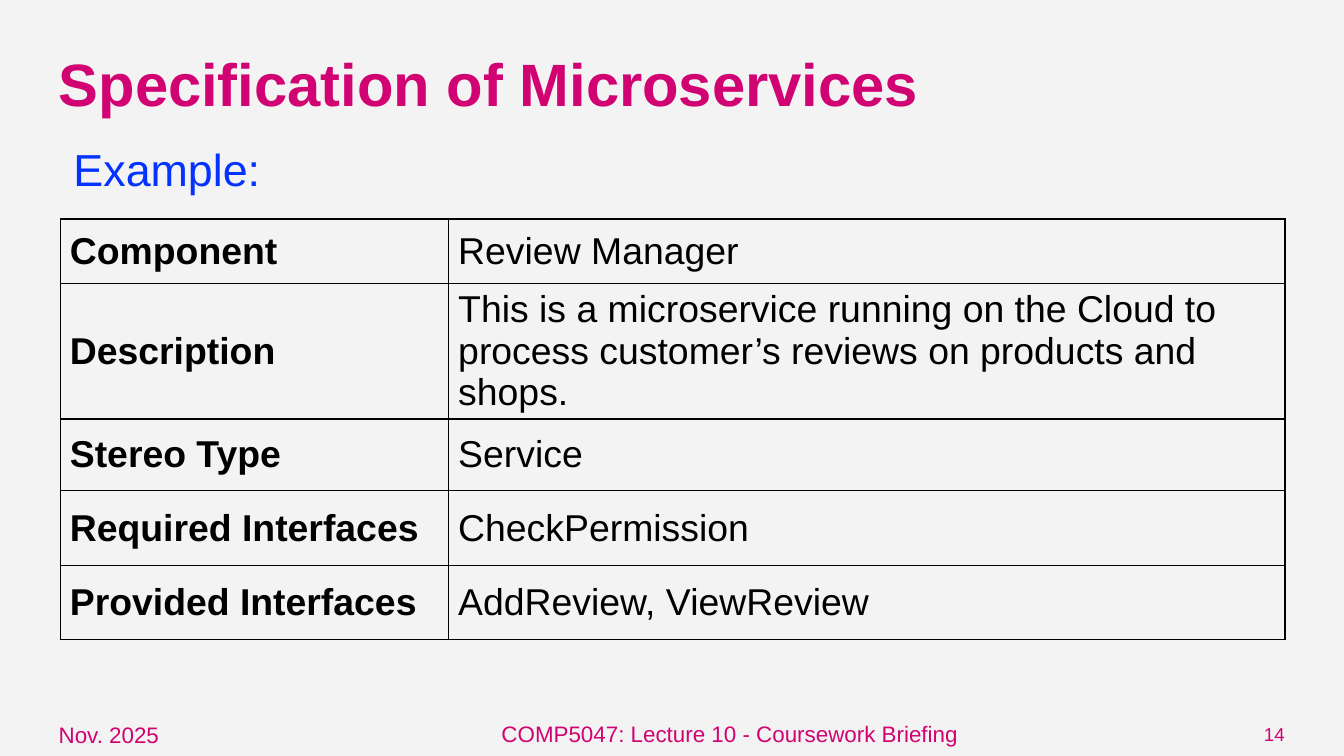
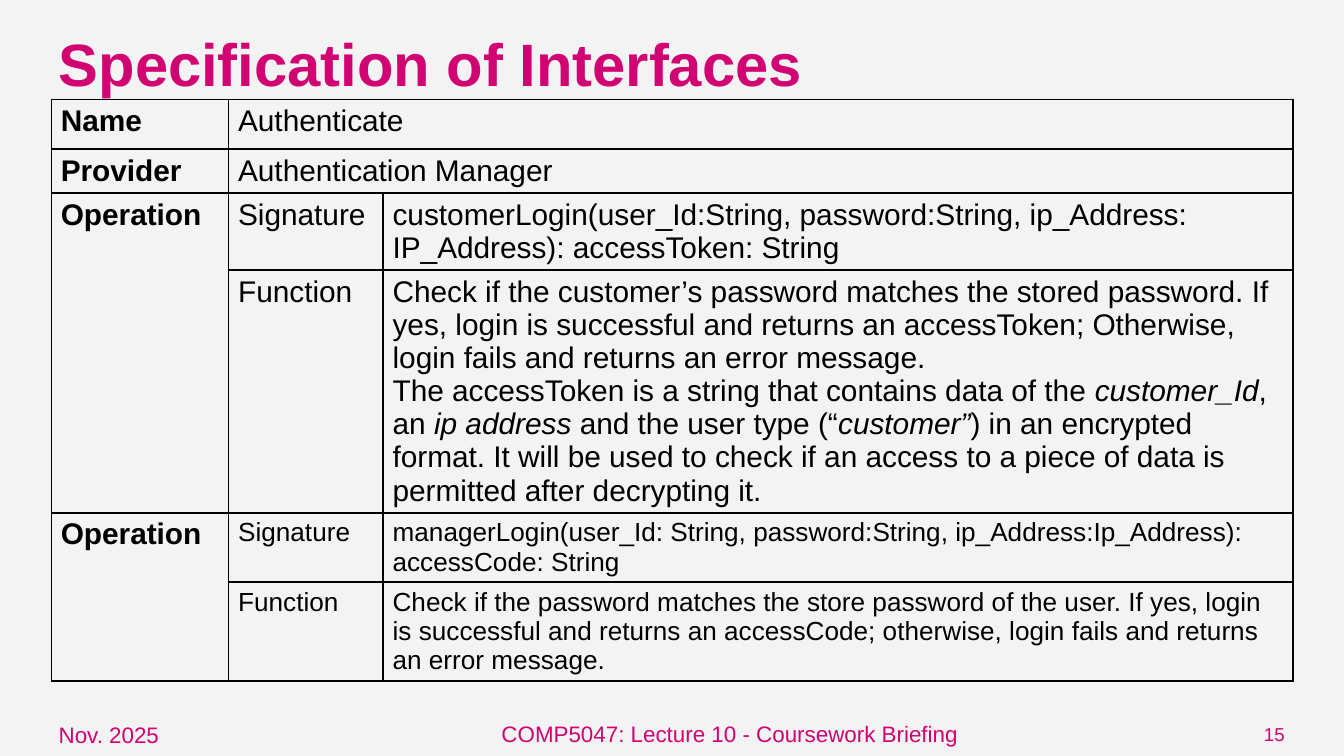
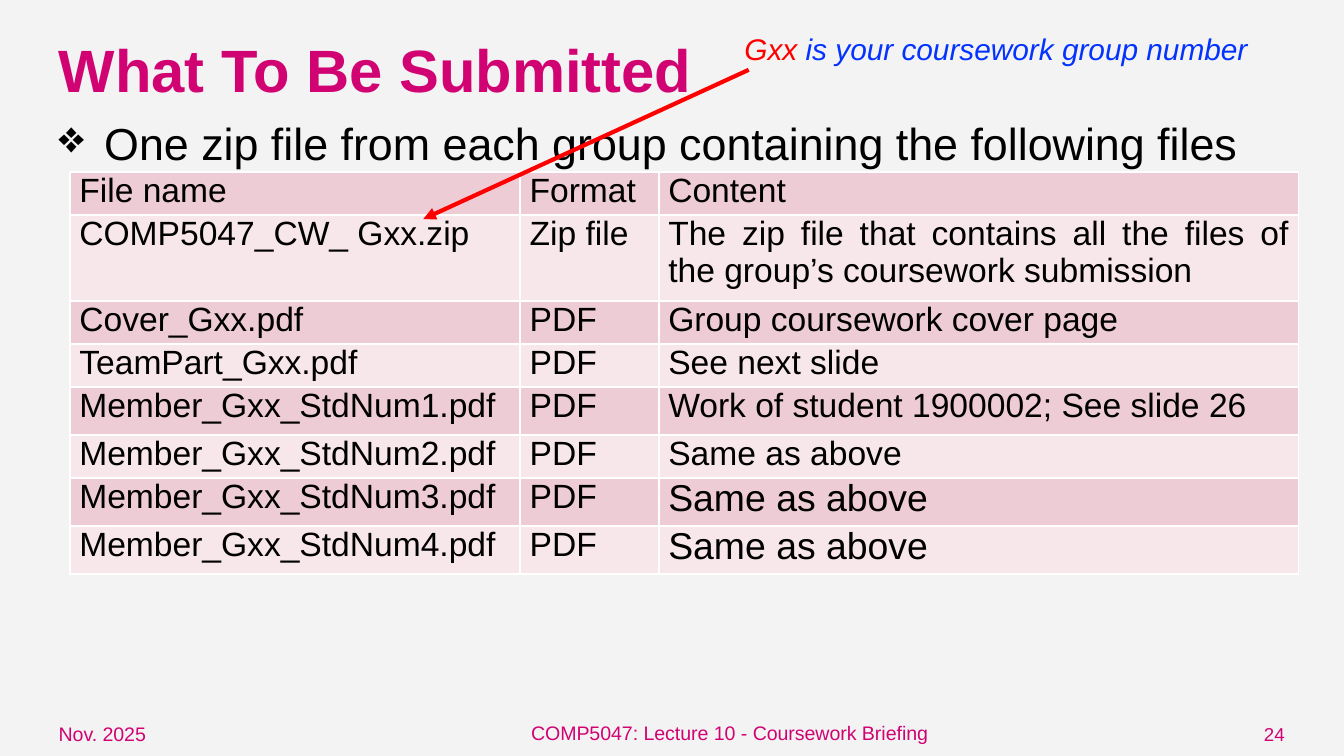
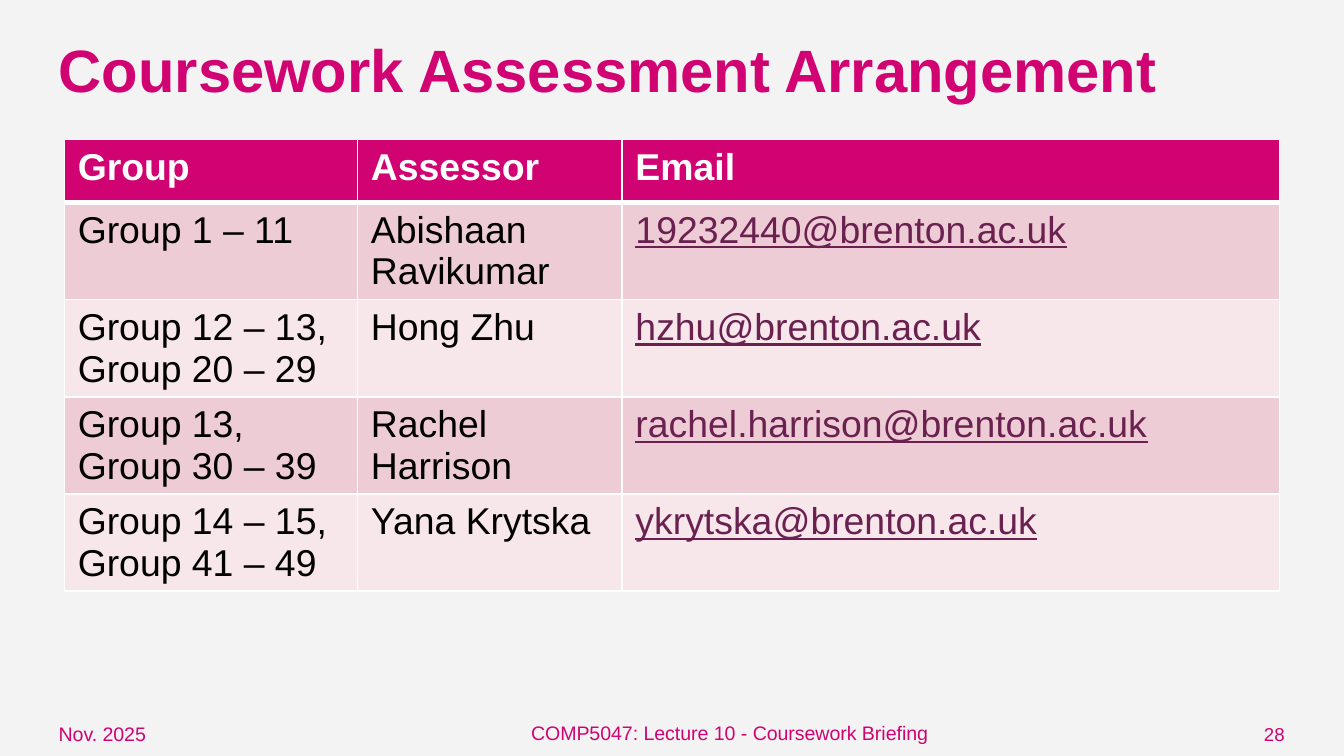
import lxml.etree
import pptx
import pptx.dml.color
import pptx.enum.shapes
import pptx.enum.text
import pptx.oxml.ns
import pptx.util

Cm = pptx.util.Cm
Pt = pptx.util.Pt
RGBColor = pptx.dml.color.RGBColor
Align = pptx.enum.text.PP_ALIGN
Anchor = pptx.enum.text.MSO_ANCHOR
Fit = pptx.enum.text.MSO_AUTO_SIZE
qn = pptx.oxml.ns.qn

PINK = RGBColor(0xD1, 0x03, 0x73)
ROSE = RGBColor(0xEE, 0xCC, 0xD5)
BLUSH = RGBColor(0xF7, 0xE7, 0xEB)
PLUM = RGBColor(0x6A, 0x21, 0x50)
BLUE = RGBColor(0x04, 0x32, 0xFF)
RED = RGBColor(0xFF, 0x00, 0x00)
GREY = RGBColor(0xF3, 0xF3, 0xF3)
BLACK = RGBColor(0, 0, 0)
WHITE = RGBColor(0xFF, 0xFF, 0xFF)

FACE = "Arial"
SIDES = ("lnL", "lnR", "lnT", "lnB")
WIDE = (0.25, 0.25, 0.25, 0.25)
PLAIN = (0.25, 0.13, 0.25, 0.13)
TIGHT = (0.18, 0.1, 0.18, 0.1)
FLAT = (0.18, 0, 0.18, 0)
LOW = (0.25, 0.38, 0.25, 0.25)


def apply(thing, values):
    for name, value in values.items():
        setattr(thing, name, value)


def add(parent, tag, **values):
    """Append a DrawingML child element."""
    return lxml.etree.SubElement(parent, qn("a:" + tag), values)


def inset(thing, sizes):
    names = ("margin_left", "margin_top", "margin_right", "margin_bottom")
    apply(thing, dict(zip(names, map(Cm, sizes))))


class Deck:
    """Holds the shared style and the slide being filled."""

    def __init__(self):
        self.file = pptx.Presentation()
        apply(self.file, {"slide_width": Cm(25.4), "slide_height": Cm(14.29)})
        fill = self.file.slide_master.background.fill
        fill.solid()
        fill.fore_color.rgb = GREY

    def page(self, title, number, top, width=23.67, small=False):
        """Start a slide with its title and footer."""
        self.slide = self.file.slides.add_slide(self.file.slide_layouts[5])
        head = self.slide.shapes.title
        apply(head, {"left": Cm(0.86), "top": Cm(top),
                     "width": Cm(width), "height": Cm(1.9)})
        self.frame(head.text_frame, LOW, Anchor.TOP)
        self.put(head.text_frame, title, {"size": 32, "color": PINK, "bold": True})
        size = 10.5 if small else 12
        anchor = Anchor.TOP if small else Anchor.MIDDLE
        font = {"size": size, "color": PINK}
        self.text(0.86, 13.51, 4.8, 0.76, "Nov. 2025", font, anchor=anchor)
        self.text(8.69, 13.49, 10.21, 0.76, "COMP5047: Lecture 10 - Coursework Briefing",
                  font, {"alignment": Align.CENTER}, anchor=anchor)
        self.text(23.01, 13.49, 1.52, 0.76, str(number), {"size": 10, "color": PINK},
                  {"alignment": Align.RIGHT}, WIDE, Anchor.MIDDLE)

    def frame(self, frame, sizes, anchor, fit=Fit.NONE):
        apply(frame, {"word_wrap": True, "auto_size": fit, "vertical_anchor": anchor})
        inset(frame, sizes)

    def put(self, frame, content, font, para=None):
        """Content is text, or a list of paragraphs made of (text, font) runs."""
        if isinstance(content, str):
            content = [[(line, {})] for line in content.split("\n")]
        for i, runs in enumerate(content):
            line = frame.add_paragraph() if i else frame.paragraphs[0]
            apply(line, {"alignment": Align.LEFT, **(para or {})})
            for words, change in runs:
                run = line.add_run()
                run.text = words
                look = {"name": FACE, "bold": False, **font, **change}
                run.font.color.rgb = look.pop("color")
                look["size"] = Pt(look["size"])
                apply(run.font, look)

    def text(self, left, top, width, height, content, font, para=None,
             sizes=PLAIN, anchor=Anchor.TOP, fit=Fit.NONE):
        box = self.slide.shapes.add_textbox(*map(Cm, (left, top, width, height)))
        self.frame(box.text_frame, sizes, anchor, fit)
        self.put(box.text_frame, content, font, para)
        return box

    def bullet(self, left, top, width, height, content, font):
        box = self.text(left, top, width, height, content, font, sizes=LOW)
        for line in box.text_frame.paragraphs:
            props = line._p.get_or_add_pPr()
            props.set("marL", str(Cm(0.86)))
            props.set("indent", str(-Cm(0.86)))
            add(add(props, "buClr"), "srgbClr", val=str(font["color"]))
            add(props, "buChar", char="❖")

    def arrow(self, start, end, color, weight):
        kind = pptx.enum.shapes.MSO_CONNECTOR.STRAIGHT
        line = self.slide.shapes.add_connector(kind, *map(Cm, start + end))
        line.line.color.rgb = color
        line.line.width = Pt(weight)
        props = line._element.spPr
        add(props.find(qn("a:ln")), "tailEnd", type="triangle")
        add(props, "effectLst")

    def border(self, cell, color, weights):
        """Weights in points: left, right, top, bottom."""
        props = cell._tc.get_or_add_tcPr()
        for i, (side, weight) in enumerate(zip(SIDES, weights)):
            edge = add(props, side, w=str(Pt(weight)))
            add(add(edge, "solidFill"), "srgbClr", val=str(color))
            props.insert(i, edge)

    def table(self, left, top, cols, rows, texts, look, edge, sizes,
              anchor=Anchor.TOP, spans=(), header=False):
        """look(row, col) gives the font, paragraph format and fill of a cell."""
        shape = self.slide.shapes.add_table(
            len(rows), len(cols), Cm(left), Cm(top), Cm(sum(cols)), Cm(sum(rows)))
        grid = shape.table
        apply(grid, {"first_row": header, "horz_banding": False})
        for col, width in zip(grid.columns, cols):
            col.width = Cm(width)
        for row, height in zip(grid.rows, rows):
            row.height = Cm(height)
        for r, line in enumerate(texts):
            for c, content in enumerate(line):
                cell = grid.cell(r, c)
                font, para, fill = look(r, c)
                inset(cell, sizes)
                cell.vertical_anchor = anchor
                if fill is None:
                    cell.fill.background()
                else:
                    cell.fill.solid()
                    cell.fill.fore_color.rgb = fill
                over = 3 if header and r == 1 else 1
                under = 3 if header and r == 0 else 1
                self.border(cell, edge, (1, 1, over, under))
                if content is not None:
                    self.put(cell.text_frame, content, font, para)
        for first, last in spans:
            grid.cell(*first).merge(grid.cell(*last))


def service(deck):
    deck.page("Specification of Microservices", 14, 0.51)
    texts = [
        ("Component", "Review Manager"),
        ("Description", "This is a microservice running on the Cloud to process "
                        "customer’s reviews on products and shops."),
        ("Stereo Type", "Service"),
        ("Required Interfaces", "CheckPermission"),
        ("Provided Interfaces", "AddReview, ViewReview"),
    ]

    def look(row, col):
        return {"size": 20, "color": BLACK, "bold": col == 0}, None, None

    deck.table(1.14, 4.14, (7.34, 15.8), (1.22, 2.46, 1.35, 1.42, 1.4), texts,
               look, BLACK, TIGHT, Anchor.MIDDLE)
    deck.text(1.14, 2.54, 9.65, 1.27, "Example:", {"size": 24, "color": BLUE},
              fit=Fit.SHAPE_TO_FIT_TEXT)


def access(deck):
    deck.page("Specification of Interfaces", 15, 0.13, 24.28)
    slant = {"italic": True}
    token = [
        [("Check if the customer’s password matches the stored password. If yes, login is "
          "successful and returns an accessToken; Otherwise, login fails and returns an "
          "error message.", {})],
        [("The accessToken is a string that contains data of the ", {}),
         ("customer_Id", slant), (", an ", {}), ("ip address", slant),
         (" and the user type (“", {}), ("customer”", slant),
         (") in an encrypted format. It will be used to check if an access to a piece of "
          "data is permitted after decrypting it.", {})],
    ]
    texts = [
        ("Name", "Authenticate", None),
        ("Provider", "Authentication Manager", None),
        ("Operation", "Signature", "customerLogin(user_Id:String, password:String, "
                                   "ip_Address: IP_Address): accessToken: String"),
        (None, "Function", token),
        ("Operation", "Signature", "managerLogin(user_Id: String, password:String, "
                                   "ip_Address:Ip_Address): accessCode: String"),
        (None, "Function", "Check if the password matches the store password of the user. "
                           "If yes, login is successful and returns an accessCode; "
                           "otherwise, login fails and returns an error message."),
    ]

    def look(row, col):
        size = 14 if row > 3 and col else 16
        return {"size": size, "color": BLACK, "bold": col == 0}, None, None

    spans = (((0, 1), (0, 2)), ((1, 1), (1, 2)), ((2, 0), (3, 0)), ((4, 0), (5, 0)))
    deck.table(0.97, 1.88, (3.35, 2.92, 17.2), (0.94, 0.81, 1.45, 4.57, 1.3, 1.85),
               texts, look, BLACK, TIGHT, spans=spans)


def files(deck):
    deck.page("What To Be Submitted", 24, 0.23, small=True)
    deck.bullet(0.86, 1.8, 23.67, 1.42,
                "One zip file from each group containing the following files",
                {"size": 24, "color": BLACK})
    texts = [
        ("File name", "Format", "Content"),
        ("COMP5047_CW_ Gxx.zip", "Zip file",
         "The zip file that contains all the files of the group’s coursework submission"),
        ("Cover_Gxx.pdf", "PDF", "Group coursework cover page"),
        ("TeamPart_Gxx.pdf", "PDF", "See next slide"),
    ]
    notes = ["Work of student 1900002; See slide 26"] + ["Same as above"] * 3
    texts += [(f"Member_Gxx_StdNum{i}.pdf", "PDF", note)
              for i, note in enumerate(notes, 1)]

    def look(row, col):
        para = {"alignment": Align.LEFT if col == 1 else Align.JUSTIFY,
                "space_before": Pt(6), "space_after": Pt(6)}
        size = 20 if row > 5 and col == 2 else 18
        return {"size": size, "color": BLACK}, para, BLUSH if row % 2 else ROSE

    deck.table(1.32, 3.25, (8.51, 2.62, 12.09),
               (0.81, 1.63, 0.81, 0.81, 0.91, 0.81, 0.91, 0.91), texts, look, WHITE, FLAT)
    deck.text(13.82, 0.46, 10.97, 0.94,
              [[("Gxx", {"color": RED}), (" is your coursework group number", {})]],
              {"size": 16, "color": BLUE, "italic": True}, fit=Fit.SHAPE_TO_FIT_TEXT)
    deck.arrow((14.15, 1.32), (8, 4.14), RED, 2.25)


def marking(deck):
    deck.page("Coursework Assessment Arrangement", 28, 0.23, small=True)
    staff = [
        ("Group 1 – 11", "Abishaan Ravikumar", "19232440"),
        ("Group 12 – 13,\nGroup 20 – 29", "Hong Zhu", "hzhu"),
        ("Group 13,\nGroup 30 – 39", "Rachel Harrison", "rachel.harrison"),
        ("Group 14 – 15,\nGroup 41 – 49", "Yana Krytska", "ykrytska"),
    ]
    texts = [("Group", "Assessor", "Email")]
    texts += [(group, name, user + "@brenton.ac.uk") for group, name, user in staff]

    def look(row, col):
        if row == 0:
            return {"size": 20, "color": WHITE, "bold": True}, None, PINK
        mail = col == 2
        font = {"size": 20, "color": PLUM if mail else BLACK, "underline": mail}
        return font, None, ROSE if row % 2 else BLUSH

    deck.table(1.22, 2.64, (5.54, 5, 12.42), (1.19,) + (1.75,) * 4, texts, look,
               WHITE, PLAIN, header=True)


def main():
    deck = Deck()
    for build in (service, access, files, marking):
        build(deck)
    deck.file.save("out.pptx")


if __name__ == "__main__":
    main()
